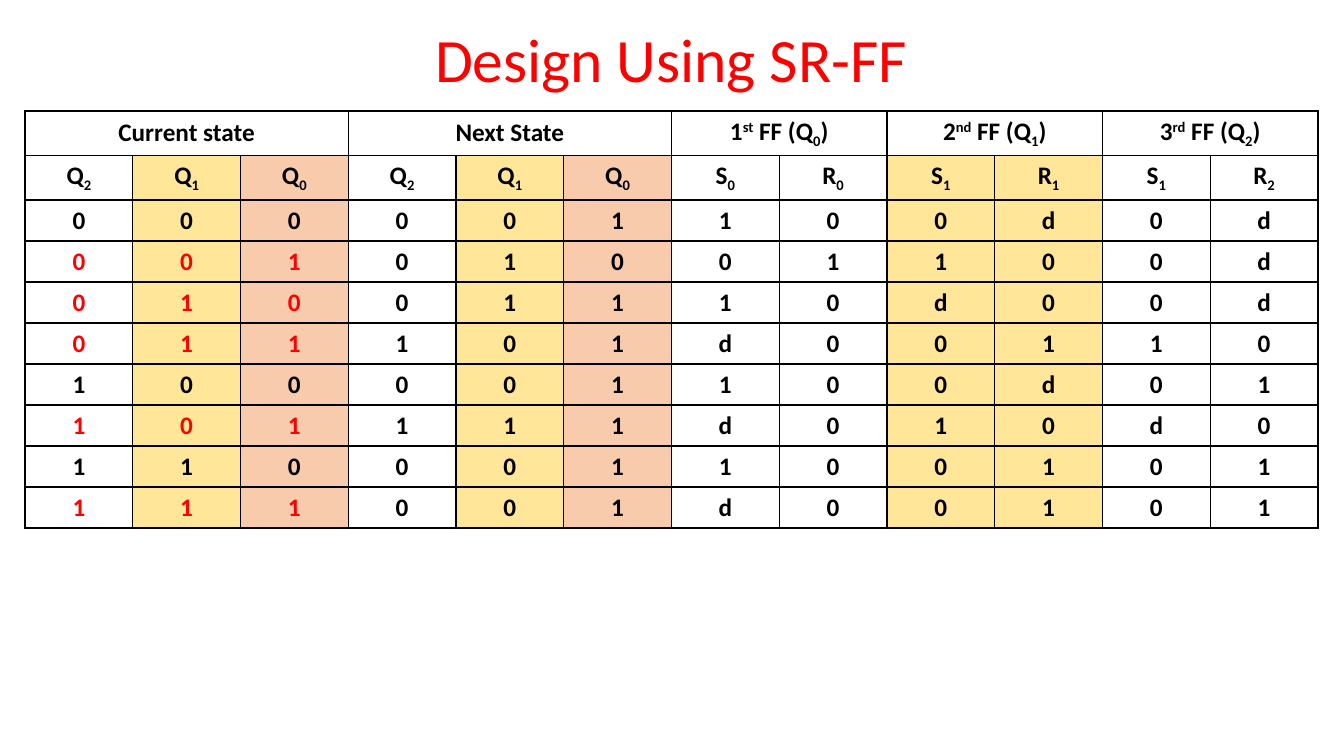
from lxml.etree import SubElement
from pptx import Presentation
from pptx.dml.color import RGBColor
from pptx.enum.text import MSO_ANCHOR, PP_ALIGN
from pptx.oxml.ns import qn
from pptx.util import Emu, Pt

HUES = {"ink": "000000", "red": "FF0000", "gold": "FFE699", "peach": "F8CBAD", "white": "FFFFFF"}
TITLE = {"name": "Calibri", "size": Pt(44)}
BODY = {"name": "Calibri", "size": Pt(18), "bold": True}
SHIFT = {"^": "30000", "_": "-25000"}
SPANS = {0: ("Current state", 3), 3: ("Next State", 3), 6: ("1|^st| FF (Q|_0|)", 2),
         8: ("2|^nd| FF (Q|_1|)", 2), 10: ("3|^rd| FF (Q|_2|)", 2)}
NAMES = "Q2 Q1 Q0 Q2 Q1 Q0 S0 R0 S1 R1 S1 R2".split()
STATES = ["000001100d0d", "00101001100d", "01001110d00d", "011101d00110",
          "100001100d01", "101111d010d0", "110001100101", "111001d00101"]
FILLS = {1: "gold", 2: "peach", 4: "gold", 5: "peach", 8: "gold", 9: "gold"}
REDS = {3, 4, 5, 7, 9}


def px(count):
    """Turn pixels into EMU."""
    return Emu(round(count * 914400 / 100.8))


def tint(hue):
    """Return the named colour."""
    return RGBColor.from_string(HUES[hue])


def apply(item, form):
    """Set attributes from format values."""
    for key, value in form.items():
        setattr(item, key, value)


def write(para, text, form, hue):
    """Write centred runs, raised after ^ and lowered after _."""
    para.alignment = PP_ALIGN.CENTER
    for part in text.split("|"):
        run = para.add_run()
        run.text = part.lstrip("^_")
        apply(run.font, form)
        run.font.color.rgb = tint(hue)
        if part[0] in SHIFT:
            run.font._element.set("baseline", SHIFT[part[0]])


def edge(cell):
    """Draw thin borders on all sides of a cell."""
    props = cell._tc.get_or_add_tcPr()
    for side in ("lnL", "lnR", "lnT", "lnB"):
        line = SubElement(props, qn("a:" + side), w=str(Pt(1)))
        fill = SubElement(line, qn("a:solidFill"))
        SubElement(fill, qn("a:srgbClr"), val=HUES["ink"])


def paint(cell, text, fill, hue):
    """Style one cell and write its text."""
    edge(cell)
    cell.fill.solid()
    cell.fill.fore_color.rgb = tint(fill)
    cell.vertical_anchor = MSO_ANCHOR.MIDDLE
    if text:
        write(cell.text_frame.paragraphs[0], text, BODY, hue)


def add_title(slide, text):
    """Add the slide title."""
    frame = slide.shapes.add_textbox(px(25), px(15), px(1293), px(96)).text_frame
    apply(frame, {"word_wrap": True, "vertical_anchor": MSO_ANCHOR.MIDDLE})
    para = frame.paragraphs[0]
    para.line_spacing = 0.9
    write(para, text, TITLE, "red")


def add_states(slide):
    """Add the state table."""
    heads = [SPANS.get(col, ("", 1))[0] for col in range(len(NAMES))]
    rows = [heads, [f"{name[0]}|_{name[1]}" for name in NAMES], *STATES]
    size = len(rows), len(NAMES)
    table = slide.shapes.add_table(*size, px(25), px(111), px(1293), px(41 * len(rows))).table
    apply(table, {"first_row": False, "horz_banding": False})
    for col, (_, span) in SPANS.items():
        table.cell(0, col).merge(table.cell(0, col + span - 1))
    for row, texts in enumerate(rows):
        for col, text in enumerate(texts):
            fill = FILLS.get(col, "white") if row else "white"
            hue = "red" if row in REDS and col < 3 else "ink"
            paint(table.cell(row, col), text, fill, hue)


def main():
    """Build and save the slide."""
    deck = Presentation()
    apply(deck, {"slide_width": px(1344), "slide_height": px(756)})
    slide = deck.slides.add_slide(deck.slide_layouts[6])
    add_title(slide, "Design Using SR-FF")
    add_states(slide)
    deck.save("out.pptx")


if __name__ == "__main__":
    main()
